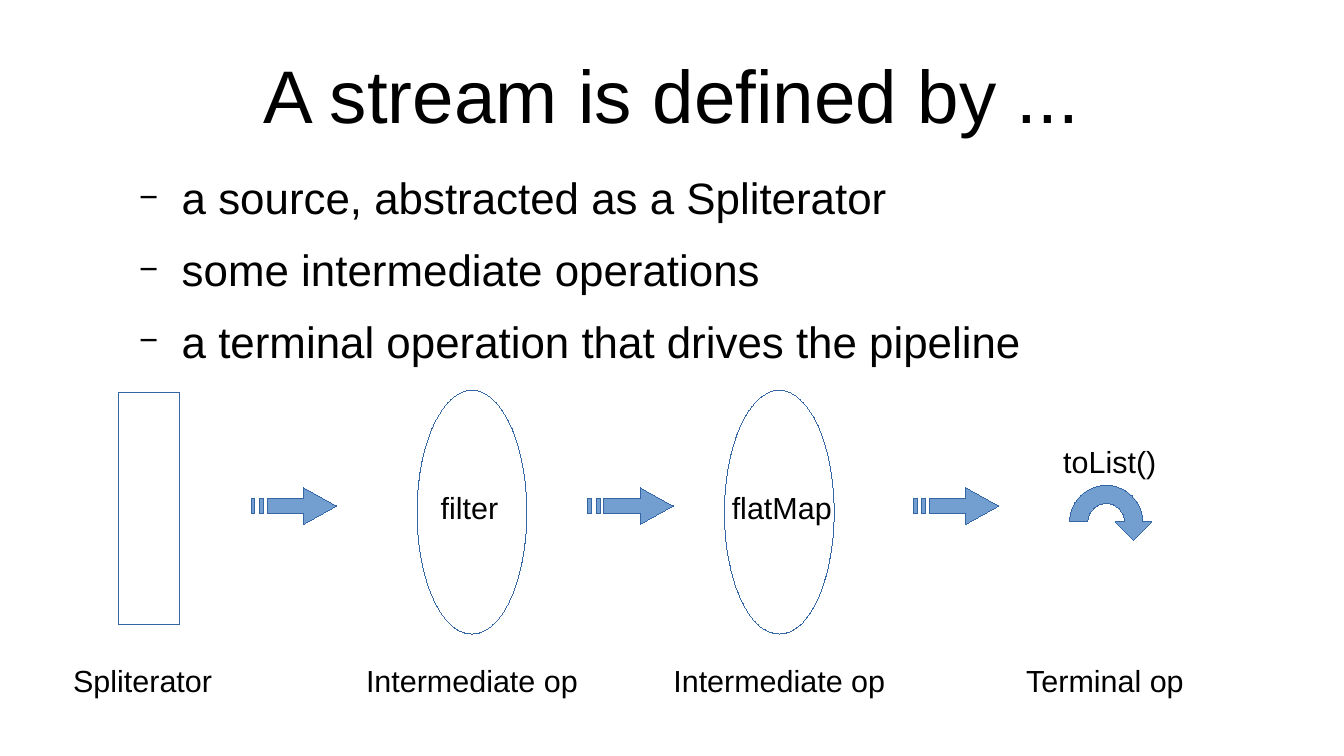
from math import cos, pi, sin

from lxml import etree
from pptx import Presentation
from pptx.dml.color import RGBColor
from pptx.enum.shapes import MSO_SHAPE as Shape
from pptx.enum.text import MSO_ANCHOR as Anchor, PP_ALIGN as Align
from pptx.oxml.ns import qn
from pptx.util import Inches, Pt

BLACK = RGBColor(0x00, 0x00, 0x00)
ARROW_BLUE = RGBColor(0x72, 0x9F, 0xCF)
LINE_BLUE = RGBColor(0x34, 0x65, 0xA4)
FONT = "Arial"
HAIRLINE = Pt(0.01)
UNITS_PER_INCH = 1000

BULLETS = [
    "a source, abstracted as a Spliterator",
    "some intermediate operations",
    "a terminal operation that drives the pipeline",
]


def add_run(paragraph, text, size):
    run = paragraph.add_run()
    run.text = text
    run.font.name = FONT
    run.font.size = Pt(size)
    run.font.color.rgb = BLACK


def add_frame(slide, left, top, width, height):
    """Add a wrapping text box without margins and return its text frame."""
    box = slide.shapes.add_textbox(
        Inches(left), Inches(top), Inches(width), Inches(height))
    frame = box.text_frame
    frame.word_wrap = True
    frame.margin_left = frame.margin_right = 0
    frame.margin_top = frame.margin_bottom = 0
    return frame


def add_title(slide, left, top, width, height):
    frame = add_frame(slide, left, top, width, height)
    frame.vertical_anchor = Anchor.MIDDLE
    paragraph = frame.paragraphs[0]
    paragraph.alignment = Align.CENTER
    add_run(paragraph, "A stream is defined by ...", 44)


def set_dash_bullet(paragraph):
    properties = paragraph._p.get_or_add_pPr()
    properties.set("marL", str(Inches(0.94)))
    properties.set("indent", str(Inches(-0.35)))
    etree.SubElement(properties, qn("a:buSzPct"), val="75000")
    etree.SubElement(properties, qn("a:buFont"), typeface=FONT)
    etree.SubElement(properties, qn("a:buChar"), char="−")


def add_bullets(slide, left, top, width, height):
    frame = add_frame(slide, left, top, width, height)
    for index, text in enumerate(BULLETS):
        paragraph = frame.add_paragraph() if index else frame.paragraphs[0]
        set_dash_bullet(paragraph)
        if index:
            paragraph.space_before = Pt(11.3)
        add_run(paragraph, text, 25.9)


def add_label(slide, text, center, top, width):
    """Centre one line of text in a box with no side margins, so it fits."""
    frame = add_frame(slide, center - width / 2, top, width, 0.38)
    frame.word_wrap = False
    frame.margin_top = frame.margin_bottom = Inches(0.05)
    paragraph = frame.paragraphs[0]
    paragraph.alignment = Align.CENTER
    add_run(paragraph, text, 18)


def style_outline(shape):
    shape.shadow.inherit = False
    shape.line.color.rgb = LINE_BLUE
    shape.line.width = HAIRLINE


def add_stage(slide, kind, left, top, width, height):
    shape = slide.shapes.add_shape(
        kind, Inches(left), Inches(top), Inches(width), Inches(height))
    shape.fill.background()
    style_outline(shape)


def add_outline(slide, left, top, contours):
    """Draw filled contours whose points are inches from (left, top)."""
    scaled = [[(x * UNITS_PER_INCH, y * UNITS_PER_INCH) for x, y in contour]
              for contour in contours]
    builder = slide.shapes.build_freeform(
        *scaled[0][0], scale=Inches(1) / UNITS_PER_INCH)
    for index, contour in enumerate(scaled):
        if index:
            builder.move_to(*contour[0])
        builder.add_line_segments(contour[1:], close=True)
    shape = builder.convert_to_shape(Inches(left), Inches(top))
    shape.fill.solid()
    shape.fill.fore_color.rgb = ARROW_BLUE
    style_outline(shape)


def add_striped_arrow(slide, left, top, width=0.7, height=0.3):
    upper, lower = 0.3 * height, 0.7 * height
    body, neck = 0.13, width - 0.27
    head = [(neck, 0), (width, height / 2), (neck, height), (neck, lower),
            (body, lower), (body, upper), (neck, upper)]
    stripes = [[(x, upper), (x, lower), (x + 0.03, lower), (x + 0.03, upper)]
               for x in (0, 0.07)]
    add_outline(slide, left, top, [head, *stripes])


def arc_points(radius, center, steps=40):
    """Return the upper half circle from left to right."""
    return [(center - radius * cos(pi * step / steps),
             center - radius * sin(pi * step / steps))
            for step in range(steps + 1)]


def add_turn_arrow(slide, left, top, radius=0.3):
    outer = arc_points(radius, radius)
    inner = arc_points(radius / 2, radius)
    head = [(2.25 * radius, radius), (1.75 * radius, 1.5 * radius),
            (1.25 * radius, radius)]
    add_outline(slide, left, top, [outer + head + inner[::-1]])


def add_pipeline(slide, left, top):
    for offset in (2.92, 5.44):
        add_stage(slide, Shape.OVAL, left + offset, top, 0.9, 2)
    add_stage(slide, Shape.RECTANGLE, left + 0.47, top + 0.02, 0.5, 1.9)

    for offset in (1.56, 4.32, 6.99):
        add_striped_arrow(slide, left + offset, top + 0.8)
    add_turn_arrow(slide, left + 8.27, top + 0.78)

    labels = (
        ("filter", 3.35, 0.76, 0.67),
        ("flatMap", 5.91, 0.76, 1.02),
        ("toList()", 8.6, 0.38, 0.96),
        ("Spliterator", 0.67, 2.18, 1.34),
        ("Intermediate op", 3.37, 2.18, 1.93),
        ("Intermediate op", 5.89, 2.18, 1.93),
        ("Terminal op", 8.56, 2.18, 1.49),
    )
    for text, center, drop, width in labels:
        add_label(slide, text, left + center, top + drop, width)


def main():
    presentation = Presentation()
    presentation.slide_width = Inches(11.02)
    presentation.slide_height = Inches(6.2)
    slide = presentation.slides.add_slide(presentation.slide_layouts[6])
    add_title(slide, 0.55, 0.25, 9.92, 1.04)
    add_bullets(slide, 0.55, 1.4, 9.92, 1.7)
    add_pipeline(slide, 0.5, 3.2)
    presentation.save("out.pptx")


if __name__ == "__main__":
    main()
